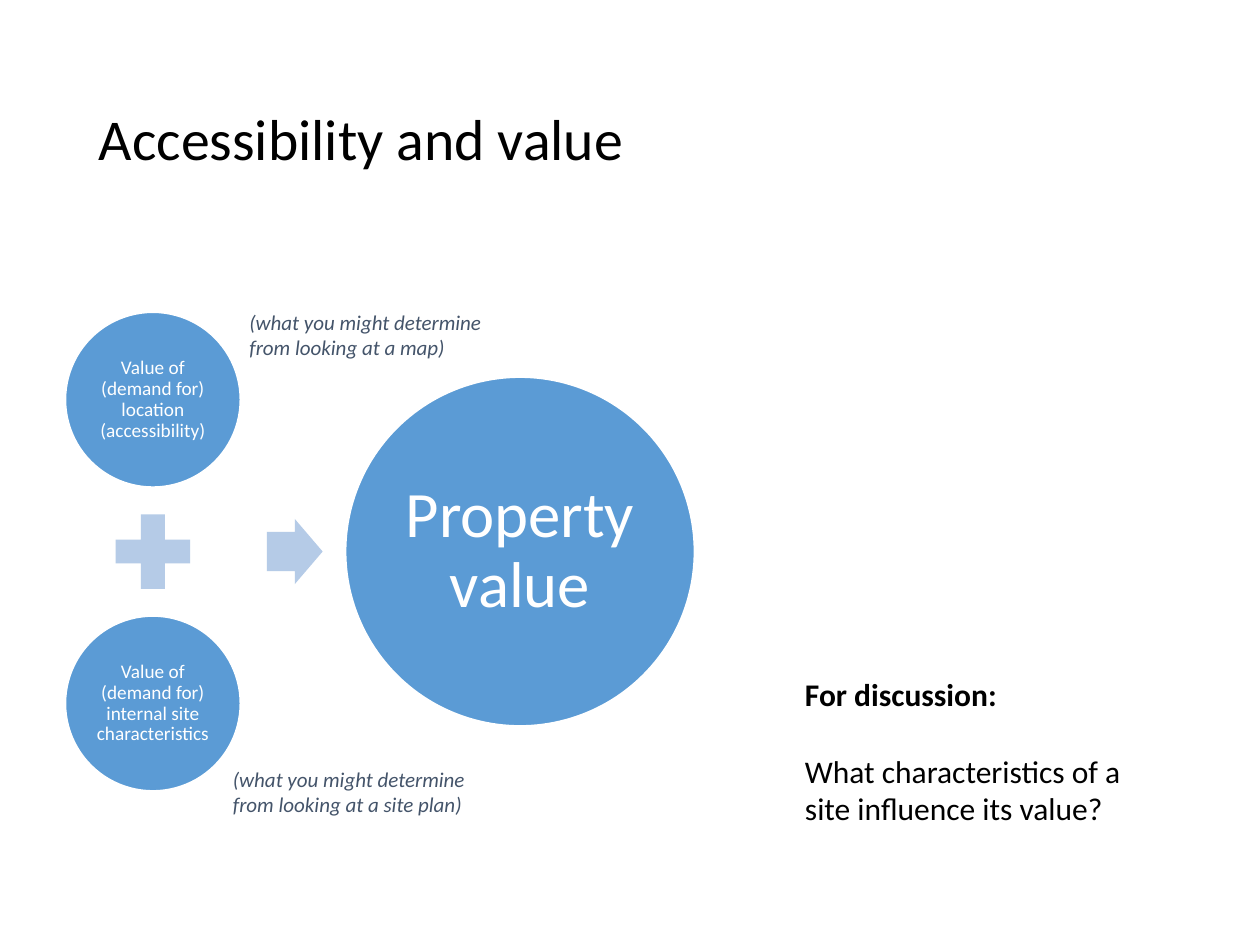
from pptx import Presentation
from pptx.dml.color import RGBColor
from pptx.enum.shapes import MSO_SHAPE
from pptx.enum.text import MSO_ANCHOR, PP_ALIGN
from pptx.util import Pt

TITLE = "Accessibility and value"
PARTS = [
    "Value of (demand for) location (accessibility)",
    "Value of (demand for) internal site characteristics",
]
RESULT = "Property value"
NOTES = [
    ("(what you might determine from looking at a map)", 135.4, 173.5),
    ("(what you might determine from looking at a site plan)", 126, 434.2),
]
TALK = ["For discussion:", "What characteristics of a site influence its value?"]

BLUE, PALE, WHITE, BLACK, SLATE = "5B9BD5", "B5CBE7", "FFFFFF", "000000", "44546A"
MID_X, MID_Y = 87.4, 315.2
SMALL, BIG, STEP = 100, 199.4, 86.8


def color(code):
    return RGBColor.from_string(code)


def write(shape, lines, size, code=BLACK, bold=(), italic=False, align=PP_ALIGN.LEFT,
          anchor=MSO_ANCHOR.TOP, space=1.0, gap=0, pad=(7.2, 3.6)):
    frame = shape.text_frame
    frame.word_wrap = True
    frame.vertical_anchor = anchor
    frame.margin_left = frame.margin_right = Pt(pad[0])
    frame.margin_top = frame.margin_bottom = Pt(pad[1])
    for i, line in enumerate(lines):
        para = frame.add_paragraph() if i else frame.paragraphs[0]
        para.alignment = align
        para.line_spacing = space
        if i:
            para.space_before = Pt(gap)
        run = para.add_run()
        run.text = line
        font = run.font
        font.name, font.size = "Calibri", Pt(size)
        font.bold, font.italic = i in bold, italic
        font.color.rgb = color(code)


def box(x, y, w, h, lines, size, **form):
    shape = slide.shapes.add_textbox(Pt(x), Pt(y), Pt(w), Pt(h))
    write(shape, lines, size, **form)


def draw(kind, x, y, w, h, fill, edge=None):
    shape = slide.shapes.add_shape(kind, Pt(x - w / 2), Pt(y - h / 2), Pt(w), Pt(h))
    shape.shadow.inherit = False
    shape.fill.solid()
    shape.fill.fore_color.rgb = color(fill)
    if edge:
        shape.line.color.rgb = color(edge)
        shape.line.width = Pt(1)
    else:
        shape.line.fill.background()
    return shape


def disc(x, y, size, text, font, pad):
    shape = draw(MSO_SHAPE.OVAL, x, y, size, size, BLUE, WHITE)
    write(shape, [text], font, code=WHITE, align=PP_ALIGN.CENTER,
          anchor=MSO_ANCHOR.MIDDLE, space=0.9, pad=(pad, pad))


deck = Presentation()
deck.slide_width, deck.slide_height = Pt(720), Pt(540)
slide = deck.slides.add_slide(deck.slide_layouts[6])

box(49.5, 28.75, 621, 104.4, [TITLE], 33, anchor=MSO_ANCHOR.MIDDLE, space=0.9)

for text, side in zip(PARTS, (-1, 1)):
    disc(MID_X, MID_Y + side * STEP, SMALL, text, 11, 1.4)
draw(MSO_SHAPE.MATH_PLUS, MID_X, MID_Y, 58, 58, PALE)
arrow = draw(MSO_SHAPE.RIGHT_ARROW, 168.5, MID_Y, 31.8, 37.2, PALE)
arrow.adjustments[0] = 0.6
arrow.adjustments[1] = 0.5
disc(297.2, MID_Y, BIG, RESULT, 37, 3.6)

box(452.9, 382.3, 214.6, 94.3, TALK, 18, bold=(0,), gap=22)
for text, x, y in NOTES:
    box(x, y, 164.9, 36, [text], 12, code=SLATE, italic=True)

deck.save("out.pptx")
